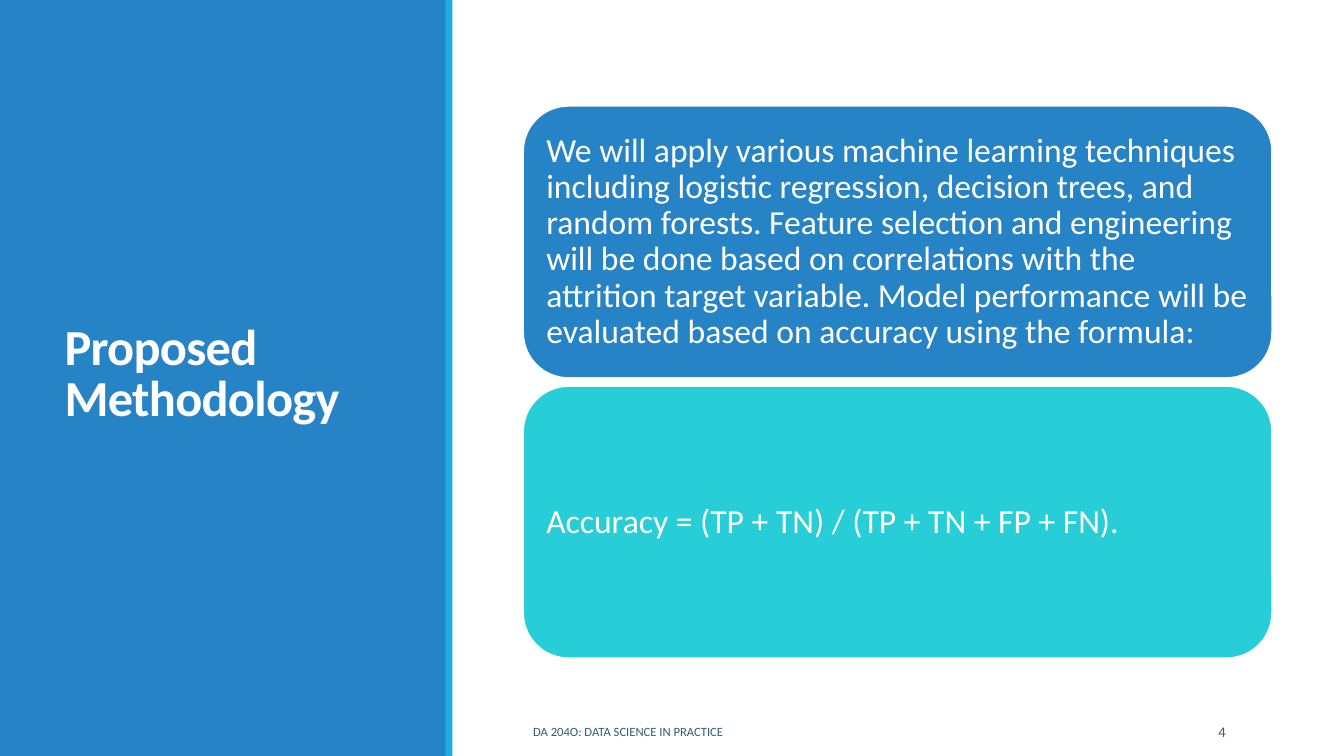
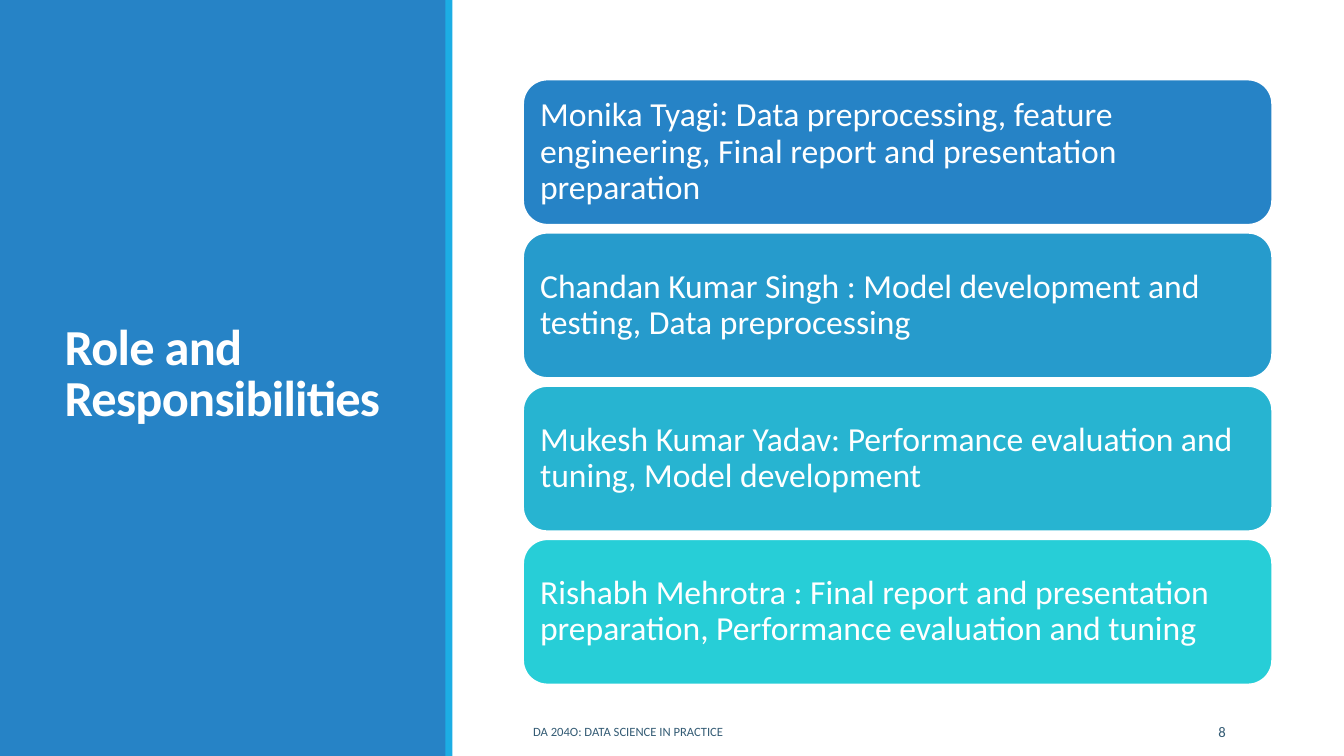
"""Build two side-panel slides with stacked rounded cards."""
from dataclasses import dataclass

from pptx import Presentation
from pptx.dml.color import RGBColor
from pptx.enum import shapes, text
from pptx.util import Pt

SLIDES = [
    {
        "title": "Proposed Methodology",
        "number": "4",
        "card_height": 194.4,
        "cards": [
            ("We will apply various machine learning techniques including logistic "
             "regression, decision trees, and random forests. Feature selection and "
             "engineering will be done based on correlations with the attrition target "
             "variable. Model performance will be evaluated based on accuracy using "
             "the formula:", "2683C6"),
            ("Accuracy = (TP + TN) / (TP + TN + FP + FN).", "27CED7"),
        ],
    },
    {
        "title": "Role and Responsibilities",
        "number": "8",
        "card_height": 103.7,
        "cards": [
            ("Monika Tyagi: Data preprocessing, feature engineering, Final report "
             "and presentation preparation", "2683C6"),
            ("Chandan Kumar Singh : Model development and testing, Data preprocessing",
             "269BCC"),
            ("Mukesh Kumar Yadav: Performance evaluation and tuning, Model development",
             "27B4D1"),
            ("Rishabh Mehrotra : Final report and presentation preparation, "
             "Performance evaluation and tuning", "27CED7"),
        ],
    },
]
FOOTER = "DA 204O: DATA SCIENCE IN PRACTICE"

SLIDE_WIDTH, SLIDE_HEIGHT = 960, 540
PANEL_BOX = (0, 0, 319, SLIDE_HEIGHT)
STRIPE_BOX = (318.2, 0, 5, SLIDE_HEIGHT)
TITLE_BOX = (38.9, 41, 242.6, 454.3)
FOOTER_BOX = (373.7, 508.3, 401.8, 28.8)
NUMBER_BOX = (797, 508.3, 85.7, 28.8)
CARD_LEFT, CARD_WIDTH, CARD_GAP = 373.7, 535, 5.76
CARDS_MIDDLE = 272.9


@dataclass(frozen=True)
class Theme:
    """Colours and type sizes of the deck."""
    font: str = "Calibri"
    panel: str = "2683C6"
    stripe: str = "1CADE4"
    light: str = "FFFFFF"
    muted: str = "335B74"
    title_size: float = 36
    card_size: float = 24
    footer_size: float = 9
    number_size: float = 10.5
    card_line: float = 1.25


THEME = Theme()


def set_attributes(target, values):
    """Set each attribute named in a dict."""
    for name, value in values.items():
        setattr(target, name, value)


def place(box):
    """Turn a box in points into lengths."""
    return [Pt(value) for value in box]


def write(shape, words, size, color, bold=False, line_spacing=1.0,
          alignment=text.PP_ALIGN.LEFT):
    """Write one styled, vertically centred paragraph."""
    frame = shape.text_frame
    set_attributes(frame, {
        "text": words,
        "word_wrap": True,
        "auto_size": text.MSO_AUTO_SIZE.NONE,
        "vertical_anchor": text.MSO_ANCHOR.MIDDLE,
    })
    paragraph = frame.paragraphs[0]
    set_attributes(paragraph, {"alignment": alignment, "line_spacing": line_spacing})
    run = paragraph.runs[0]
    set_attributes(run.font, {"name": THEME.font, "size": Pt(size), "bold": bold})
    run.font.color.rgb = RGBColor.from_string(color)
    return run


def add_block(slide, kind, box, fill, line=None):
    """Add a flat filled shape with an optional outline."""
    shape = slide.shapes.add_shape(kind, *place(box))
    shape.shadow.inherit = False
    shape.fill.solid()
    shape.fill.fore_color.rgb = RGBColor.from_string(fill)
    if line:
        shape.line.color.rgb = RGBColor.from_string(line)
        shape.line.width = Pt(THEME.card_line)
    else:
        shape.line.fill.background()
    return shape


def add_frame(slide, title, number):
    """Add the side panel, title and footer shared by the slides."""
    rectangle = shapes.MSO_SHAPE.RECTANGLE
    add_block(slide, rectangle, PANEL_BOX, THEME.panel)
    add_block(slide, rectangle, STRIPE_BOX, THEME.stripe)

    heading = slide.shapes.title
    sides = ("left", "top", "width", "height")
    set_attributes(heading, dict(zip(sides, place(TITLE_BOX))))
    run = write(heading, title, THEME.title_size, THEME.light, True, 0.85)
    run.font._element.set("spc", "-50")
    slide.shapes._spTree.append(heading._element)

    footer = slide.shapes.add_textbox(*place(FOOTER_BOX))
    write(footer, FOOTER, THEME.footer_size, THEME.muted)
    page = slide.shapes.add_textbox(*place(NUMBER_BOX))
    write(page, number, THEME.number_size, THEME.muted, alignment=text.PP_ALIGN.RIGHT)


def add_cards(slide, cards, height):
    """Stack equal cards around the common middle."""
    pitch = height + CARD_GAP
    top = CARDS_MIDDLE - (len(cards) * pitch - CARD_GAP) / 2
    for index, (words, fill) in enumerate(cards):
        box = (CARD_LEFT, top + index * pitch, CARD_WIDTH, height)
        card = add_block(slide, shapes.MSO_SHAPE.ROUNDED_RECTANGLE, box, fill, THEME.light)
        margins = ("margin_left", "margin_top", "margin_right", "margin_bottom")
        set_attributes(card.text_frame, dict.fromkeys(margins, Pt(7.2)))
        write(card, words, THEME.card_size, THEME.light, line_spacing=0.9)


def main():
    """Build and save the presentation."""
    presentation = Presentation()
    set_attributes(presentation, {"slide_width": Pt(SLIDE_WIDTH),
                                  "slide_height": Pt(SLIDE_HEIGHT)})
    title_only = presentation.slide_layouts[5]
    for content in SLIDES:
        slide = presentation.slides.add_slide(title_only)
        add_frame(slide, content["title"], content["number"])
        add_cards(slide, content["cards"], content["card_height"])
    presentation.save("out.pptx")


if __name__ == "__main__":
    main()
